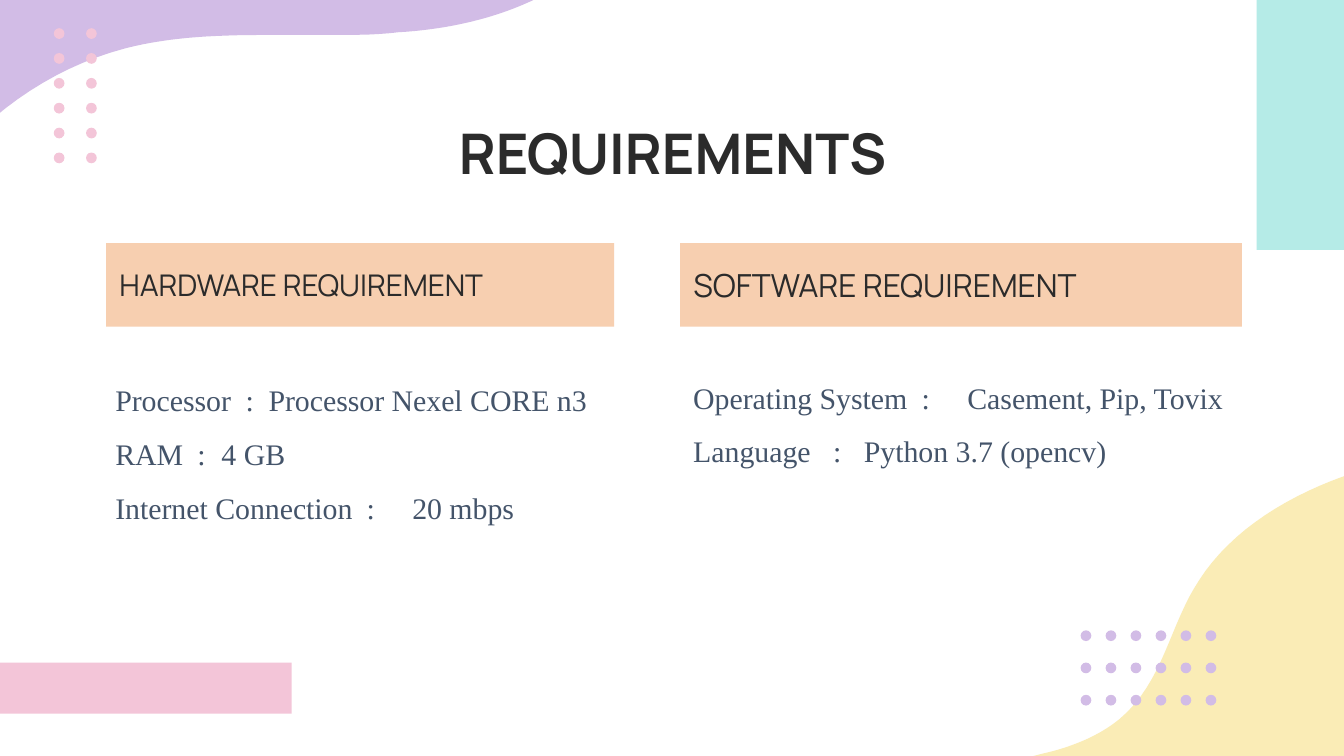
import math

import lxml.etree
import pptx
import pptx.dml.color
import pptx.enum.shapes
import pptx.enum.text
import pptx.oxml.ns
import pptx.util

Inches = pptx.util.Inches
SHAPE = pptx.enum.shapes.MSO_SHAPE
ANCHOR = pptx.enum.text.MSO_ANCHOR
ALIGN = pptx.enum.text.PP_ALIGN
PURPLE, PINK, TEAL, PEACH, YELLOW = "D2BCE6", "F3C5D8", "B5EBE7", "F7CFB0", "FAECB6"
DARK, SLATE = "2B2B2B", "44546A"


def paint(shape, color):
    shape.shadow.inherit = False
    shape.fill.solid()
    shape.fill.fore_color.rgb = pptx.dml.color.RGBColor.from_string(color)
    shape.line.fill.background()


def write(paragraph, text, size, font, color, bold=False):
    paragraph.text = text
    paragraph.font.size = pptx.util.Pt(size)
    paragraph.font.name = font
    paragraph.font.bold = bold
    paragraph.font.color.rgb = pptx.dml.color.RGBColor.from_string(color)


presentation = pptx.Presentation()
presentation.slide_width = Inches(10)
presentation.slide_height = presentation.slide_width * 9 // 16
slide = presentation.slides.add_slide(presentation.slide_layouts[6])
shapes = slide.shapes

purple_wave = [
    [(-0.49, 1.35)], [(-0.49, -1.86)], [(4.01, -1.86)], [(4.01, -0.03)],
    [(3.69, 0.13), (3.32, 0.21), (2.96, 0.23)],
    [(2.8, 0.25), (2.64, 0.25), (2.47, 0.25)],
    [(2.32, 0.25), (2.16, 0.25), (2.01, 0.25)],
    [(1.64, 0.25), (1.28, 0.26), (0.93, 0.35)],
    [(0.36, 0.5), (-0.15, 0.87), (-0.49, 1.35)],
]
yellow_wave = [
    [(10.3, 3.46)],
    [(10.22, 3.48), (10.15, 3.5), (10.07, 3.52)],
    [(9.61, 3.67), (9.16, 3.94), (8.92, 4.32)],
    [(8.7, 4.65), (8.66, 5.07), (8.33, 5.35)],
    [(8.17, 5.48), (7.97, 5.56), (7.75, 5.61)],
    [(7.56, 5.66), (7.35, 5.69), (7.15, 5.73)],
    [(7.4, 6.78)], [(11.12, 5.87)], [(10.51, 3.41)],
    [(10.44, 3.43), (10.37, 3.44), (10.3, 3.46)],
]
waves = [
    (purple_wave, PURPLE, 180, 1.76, -0.25),
    (yellow_wave, YELLOW, 346.2, 8.96, 5.1),
]
for segments, color, rotation, center_x, center_y in waves:
    points = []
    for segment in segments:
        if len(segment) == 1:
            points += segment
            continue
        corners = [points[-1]] + segment
        for step in range(1, 17):
            t = step / 16
            weights = [math.comb(3, i) * t**i * (1 - t) ** (3 - i) for i in range(4)]
            points.append(tuple(sum(w * c[axis] for w, c in zip(weights, corners)) for axis in (0, 1)))
    cosine, sine = math.cos(math.radians(-rotation)), math.sin(math.radians(-rotation))
    turned = []
    for x, y in points:
        dx, dy = x - center_x, y - center_y
        turned.append((Inches(center_x + dx * cosine - dy * sine), Inches(center_y + dx * sine + dy * cosine)))
    builder = shapes.build_freeform(*turned[0])
    builder.add_line_segments(turned[1:], close=True)
    wave = builder.convert_to_shape()
    wave.rotation = rotation
    paint(wave, color)

for left, top, width, height, color in [(9.35, 0, 0.68, 1.86, TEAL), (0, 4.93, 2.17, 0.38, PINK)]:
    block = shapes.add_shape(SHAPE.RECTANGLE, Inches(left), Inches(top), Inches(width), Inches(height))
    paint(block, color)

dot_grids = [
    (0.4, 0.21, 2, 6, 0.24, 0.185, PINK),
    (8.04, 4.69, 6, 3, 0.186, 0.24, PURPLE),
]
for left, top, columns, rows, step_x, step_y, color in dot_grids:
    for row in range(rows):
        for column in range(columns):
            dot = shapes.add_shape(
                SHAPE.OVAL, Inches(left + column * step_x), Inches(top + row * step_y), Inches(0.08), Inches(0.08)
            )
            paint(dot, color)

headings = [
    ("SOFTWARE REQUIREMENT", 17, 5.06, 4.18),
    ("HARDWARE REQUIREMENT", 16, 0.79, 3.78),
]
for text, size, left, width in headings:
    heading = shapes.add_shape(SHAPE.RECTANGLE, Inches(left), Inches(1.81), Inches(width), Inches(0.62))
    paint(heading, PEACH)
    heading.text_frame.vertical_anchor = ANCHOR.MIDDLE
    heading.text_frame.margin_top = heading.text_frame.margin_bottom = Inches(0.1)
    paragraph = heading.text_frame.paragraphs[0]
    paragraph.alignment = ALIGN.LEFT
    write(paragraph, text, size, "Manrope", DARK)

title = shapes.add_textbox(Inches(0.79), Inches(0.78), Inches(8.43), Inches(0.63))
title.text_frame.word_wrap = True
title.text_frame.margin_top = title.text_frame.margin_bottom = Inches(0.1)
title.text_frame.paragraphs[0].alignment = ALIGN.CENTER
write(title.text_frame.paragraphs[0], "REQUIREMENTS", 30, "Manrope", DARK, bold=True)

lists = [
    (0.76, 2.61, 3.96, [
        ("Processor", "Processor Nexel CORE n3", 0.97, 1.14),
        ("RAM", "4 GB", 0.61, 0.79),
        ("Internet Connection", "20 mbps", 1.87, 2.21),
    ]),
    (5.06, 2.59, 4.4, [
        ("Operating System", "Casement, Pip, Tovix", 1.7, 2.04),
        ("Language", "Python 3.7 (opencv)", 1.04, 1.27),
    ]),
]
for left, top, width, entries in lists:
    box = shapes.add_textbox(Inches(left), Inches(top), Inches(width), Inches(1.86))
    frame = box.text_frame
    frame.word_wrap = True
    frame.margin_top = frame.margin_bottom = Inches(0.1)
    for index, (label, value, *stops) in enumerate(entries):
        paragraph = frame.add_paragraph() if index else frame.paragraphs[0]
        paragraph.line_spacing = 1.5
        properties = paragraph._p.get_or_add_pPr()
        tabs = lxml.etree.SubElement(properties, pptx.oxml.ns.qn("a:tabLst"))
        for stop in stops:
            lxml.etree.SubElement(tabs, pptx.oxml.ns.qn("a:tab"), pos=str(Inches(stop)), algn="l")
        write(paragraph, f"{label}\t:\t{value}", 16, "Times New Roman", SLATE)

presentation.save("out.pptx")
